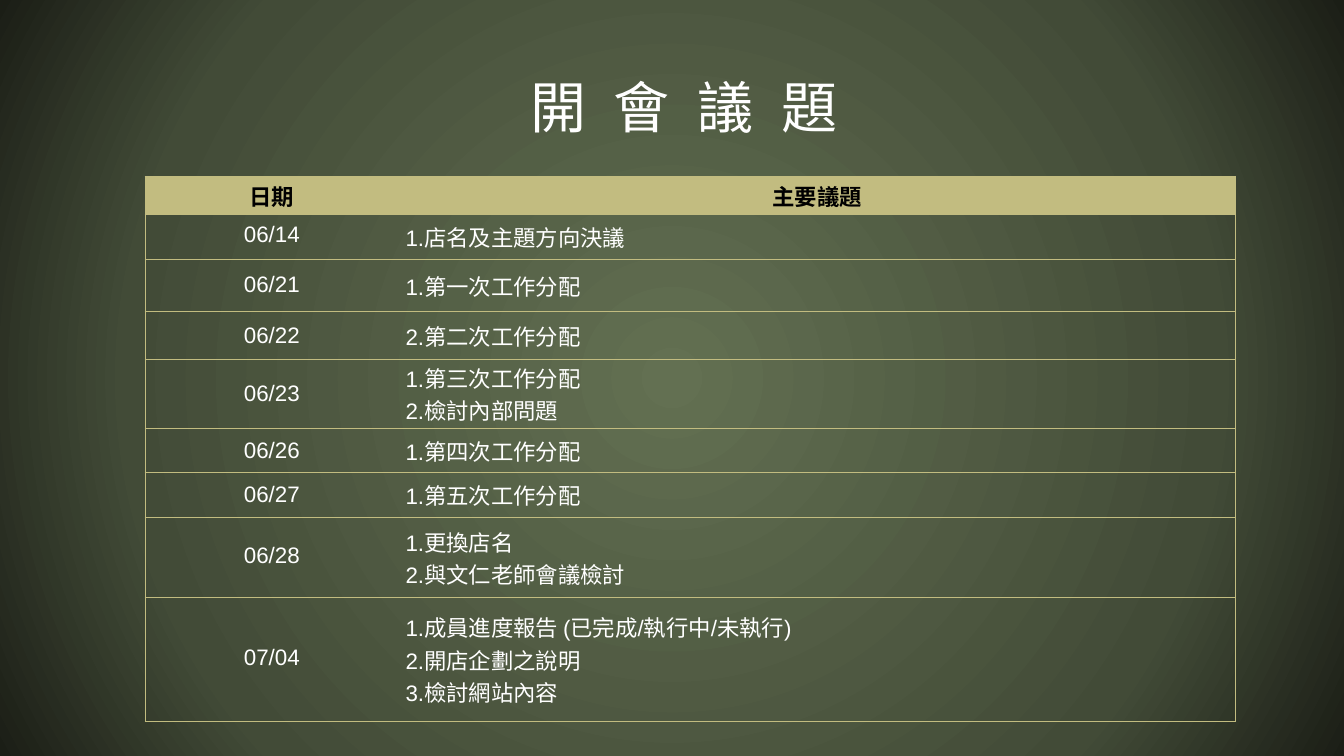
from lxml.etree import SubElement
from pptx import Presentation
from pptx.dml.color import RGBColor
from pptx.enum.text import MSO_ANCHOR, PP_ALIGN
from pptx.oxml import parse_xml
from pptx.oxml.ns import nsdecls, qn
from pptx.util import Pt

COLORS = {
    "centre": "637052", "middle": "424B37", "edge": "1B1E16",
    "gold": "C2BC80", "white": "FFFFFF", "black": "000000",
}
FONT = "Arial"
COLUMN_WIDTHS = [181, 598]
HEADINGS = ["日期", "主要議題"]
HEADING_HEIGHT = 27.3

# Date, topics, row height, exact line spacing of the date
MEETINGS = [
    ("06/14", ["1.店名及主題方向決議"], 31.8, 15.5),
    ("06/21", ["1.第一次工作分配"], 37.4, None),
    ("06/22", ["2.第二次工作分配"], 34.2, None),
    ("06/23", ["1.第三次工作分配", "2.檢討內部問題"], 49.6, None),
    ("06/26", ["1.第四次工作分配"], 31.3, None),
    ("06/27", ["1.第五次工作分配"], 32, None),
    ("06/28", ["1.更換店名", "2.與文仁老師會議檢討"], 57.3, 15.5),
    ("07/04", ["1.成員進度報告 (已完成/執行中/未執行)", "2.開店企劃之說明",
               "3.檢討網站內容"], 88.3, 15.5),
]


def write_text(frame, lines, size=16, color="white", bold=False,
               align=PP_ALIGN.LEFT, line_spacing=None, tracking=None):
    for index, line in enumerate(lines):
        para = frame.paragraphs[0] if index == 0 else frame.add_paragraph()
        para.alignment = align
        if line_spacing:
            para.line_spacing = line_spacing
        span = para.add_run()
        span.text = line
        span.font.name = FONT
        span.font.size = Pt(size)
        span.font.bold = bold
        span.font.color.rgb = RGBColor.from_string(COLORS[color])
        if tracking:
            span.font._element.set("spc", str(int(tracking * 100)))


def set_background(page):
    fill = page.background.fill
    fill.gradient()
    gradient = page.background._cSld.bg.bgPr.find(qn("a:gradFill"))
    for child in list(gradient):
        gradient.remove(child)
    stops = SubElement(gradient, qn("a:gsLst"))
    for position, name in [(0, "centre"), (71, "middle"), (100, "edge")]:
        stop = SubElement(stops, qn("a:gs"), pos=str(position * 1000))
        SubElement(stop, qn("a:srgbClr"), val=COLORS[name])
    shade = SubElement(gradient, qn("a:path"), path="circle")
    SubElement(shade, qn("a:fillToRect"), l="50000", t="50000", r="50000", b="50000")


def set_borders(cell, hidden_side):
    properties = cell._tc.get_or_add_tcPr()
    gold = f'<a:solidFill><a:srgbClr val="{COLORS["gold"]}"/></a:solidFill>'
    for index, side in enumerate("LRTB"):
        paint = "<a:noFill/>" if side == hidden_side else gold
        line = f'<a:ln{side} {nsdecls("a")} w="{Pt(1)}">{paint}</a:ln{side}>'
        properties.insert(index, parse_xml(line))


def fill_cell(cell, lines, fill=None, hidden_side=None, **text_format):
    cell.vertical_anchor = MSO_ANCHOR.MIDDLE
    cell.margin_left = cell.margin_right = Pt(5)
    cell.margin_top = cell.margin_bottom = Pt(0)
    if fill:
        cell.fill.solid()
        cell.fill.fore_color.rgb = RGBColor.from_string(COLORS[fill])
    else:
        cell.fill.background()
    set_borders(cell, hidden_side)
    write_text(cell.text_frame, lines, **text_format)


def add_title(page, text):
    title = page.shapes.title
    title.left, title.top, title.width, title.height = Pt(80.6), Pt(8.6), Pt(816), Pt(96)
    frame = title.text_frame
    frame.vertical_anchor = MSO_ANCHOR.BOTTOM
    frame.margin_left = frame.margin_right = Pt(9.4)
    frame.margin_top = frame.margin_bottom = Pt(5)
    write_text(frame, [text], size=40, align=PP_ALIGN.CENTER,
               line_spacing=0.8, tracking=5.5)


def add_agenda(page):
    heights = [HEADING_HEIGHT] + [meeting[2] for meeting in MEETINGS]
    table = page.shapes.add_table(
        len(heights), len(COLUMN_WIDTHS), Pt(103.7), Pt(126),
        Pt(sum(COLUMN_WIDTHS)), Pt(sum(heights))).table
    table.horz_banding = False
    for column, width in zip(table.columns, COLUMN_WIDTHS):
        column.width = Pt(width)
    for row, height in zip(table.rows, heights):
        row.height = Pt(height)

    # Heading row
    for index, (heading, side) in enumerate(zip(HEADINGS, "RL")):
        fill_cell(table.cell(0, index), [heading], fill="gold", hidden_side=side,
                  color="black", bold=True, align=PP_ALIGN.CENTER)

    # One row per meeting
    for index, (date, topics, _, spacing) in enumerate(MEETINGS, 1):
        fill_cell(table.cell(index, 0), [date], hidden_side="R",
                  align=PP_ALIGN.CENTER, line_spacing=Pt(spacing) if spacing else None)
        fill_cell(table.cell(index, 1), topics, hidden_side="L")


def main():
    deck = Presentation()
    deck.slide_width, deck.slide_height = Pt(960), Pt(540)
    page = deck.slides.add_slide(deck.slide_layouts[5])
    set_background(page)
    add_title(page, "開 會 議 題")
    add_agenda(page)
    deck.save("out.pptx")


if __name__ == "__main__":
    main()
